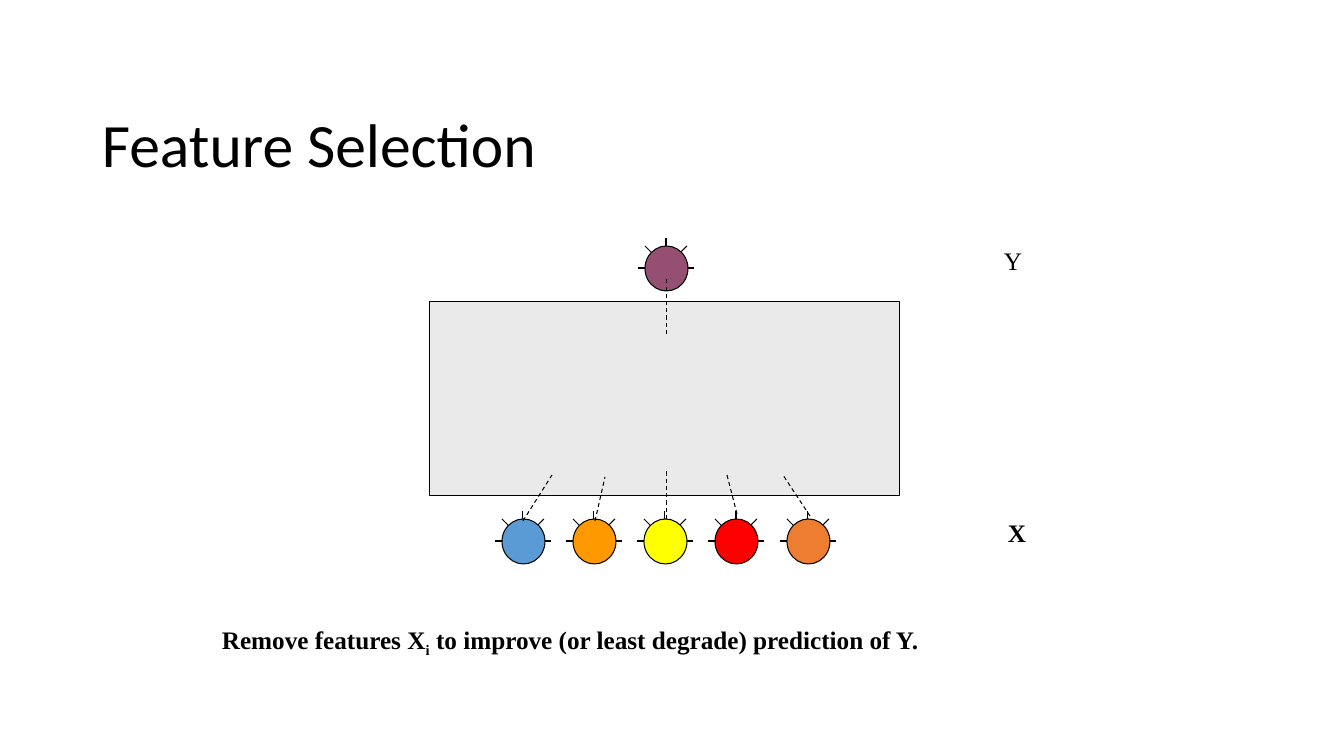
from pptx import Presentation
from pptx.dml.color import RGBColor
from pptx.enum.dml import MSO_LINE
from pptx.enum.shapes import MSO_CONNECTOR, MSO_SHAPE
from pptx.enum.text import MSO_ANCHOR
from pptx.util import Pt
from lxml import etree

PX = 12192000 / 1344
BLACK = "000000"
SERIF = "Times New Roman"
DRAWING = "{http://schemas.openxmlformats.org/drawingml/2006/main}"

FEATURES = ["5B9BD5", "FF9900", "FFFF00", "FF0000", "ED7D31"]
# Offsets from the node centre: right, upper right, left, upper left, top
RAYS = [(14, 0, 28, 0), (21, -22, 7, -8), (-28, 0, -21, 0),
        (-21, -22, -14, -15), (0, -30, 0, -22)]
# Offsets from the corner of the model box
LINKS = [(93, 219, 122, 173), (165, 219, 175, 175), (237, 217, 237, 167),
         (307, 212, 297, 173), (380, 214, 353, 173), (237, 32, 237, -23)]


def emu(*lengths):
    return [round(n * PX) for n in lengths]


def color(code):
    return RGBColor.from_string(code)


def text(slide, box, runs, size=18, font=SERIF, bold=False,
         anchor=MSO_ANCHOR.TOP, spacing=1.0):
    """Runs are (wording, baseline shift in percent) pairs."""
    frame = slide.shapes.add_textbox(*emu(*box)).text_frame
    frame.word_wrap = True
    frame.vertical_anchor = anchor
    para = frame.paragraphs[0]
    para.line_spacing = spacing
    for words, shift in runs:
        run = para.add_run()
        run.text = words
        run.font.size = Pt(size)
        run.font.name = font
        run.font.bold = bold
        run.font.color.rgb = color(BLACK)
        if shift:
            run.font._element.set("baseline", str(shift * 1000))


def line(shapes, x, y, ends, dashed=False):
    x1, y1, x2, y2 = ends
    link = shapes.add_connector(MSO_CONNECTOR.STRAIGHT,
                                *emu(x + x1, y + y1, x + x2, y + y2))
    link.line.color.rgb = color(BLACK)
    link.line.width = Pt(0.75)
    if dashed:
        link.line.dash_style = MSO_LINE.DASH
    etree.SubElement(link._element.spPr, DRAWING + "effectLst")


def shape(shapes, kind, box, fill):
    item = shapes.add_shape(kind, *emu(*box))
    item.shadow.inherit = False
    item.fill.solid()
    item.fill.fore_color.rgb = color(fill)
    item.line.color.rgb = color(BLACK)
    item.line.width = Pt(0.75)


def node(slide, x, y, fill):
    """Draw a round node with its rays, centred on x, y."""
    shapes = slide.shapes.add_group_shape().shapes
    for ray in RAYS:
        line(shapes, x, y, ray)
    shape(shapes, MSO_SHAPE.OVAL, (x - 21, y - 22, 43, 45), fill)


def model(slide, x, y, width, height):
    """Draw the model box, its feature nodes below and its target above."""
    for i, fill in enumerate(FEATURES):
        node(slide, x + 93 + i * 285 // 4, y + height + 45, fill)
    node(slide, x + 236, y - 34, "954F72")
    shape(slide.shapes, MSO_SHAPE.RECTANGLE, (x, y, width, height), "EAEAEA")
    for ends in LINKS:
        line(slide.shapes, x, y, ends, dashed=True)


def main():
    deck = Presentation()
    deck.slide_width, deck.slide_height = emu(1344, 756)
    slide = deck.slides.add_slide(deck.slide_layouts[6])
    text(slide, (92, 40, 1159, 146), [("Feature Selection", 0)], size=44,
         font="Calibri", anchor=MSO_ANCHOR.BOTTOM, spacing=0.9)
    model(slide, 430, 302, 470, 194)
    text(slide, (994, 240, 93, 40), [("Y", 0)])
    text(slide, (998, 512, 157, 40), [("X", 0)], bold=True)
    text(slide, (212, 619, 986, 40),
         [("Remove features X", 0), ("i", -25),
          (" to improve (or least degrade) prediction of Y.", 0)], bold=True)
    deck.save("out.pptx")


if __name__ == "__main__":
    main()
